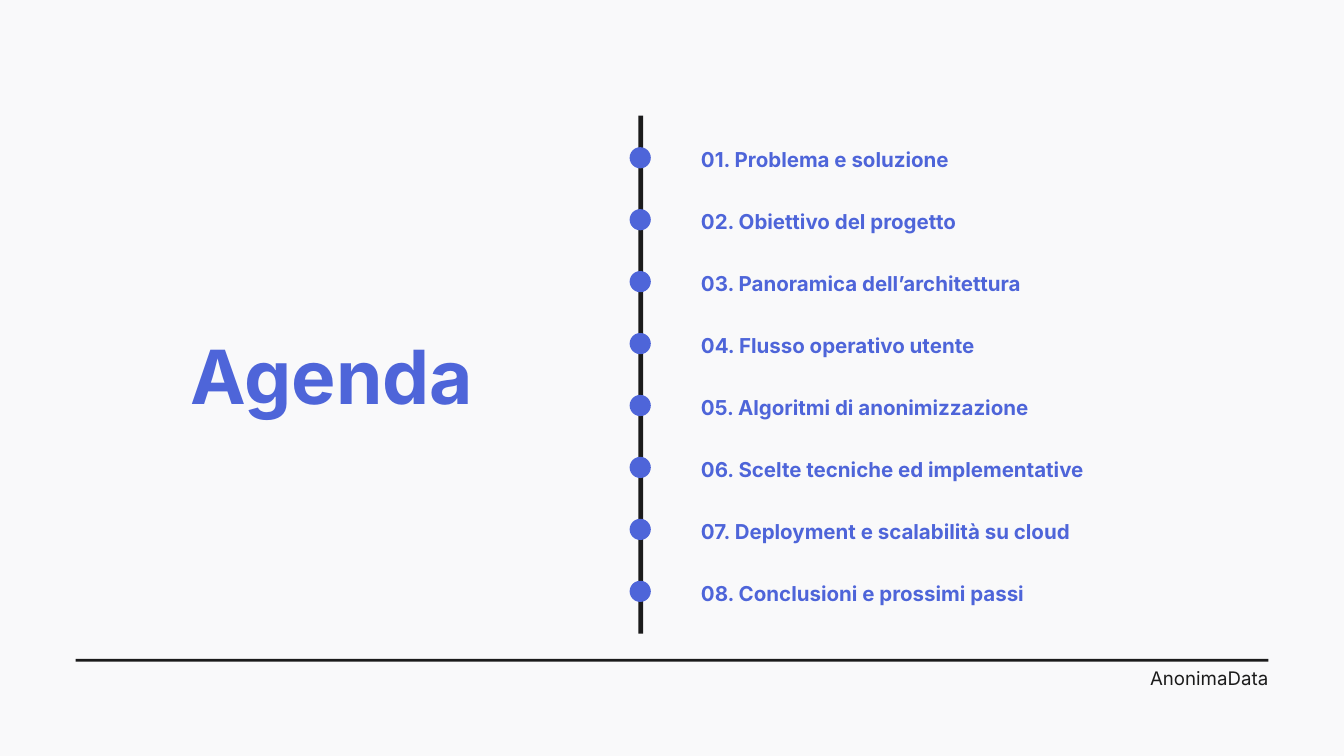
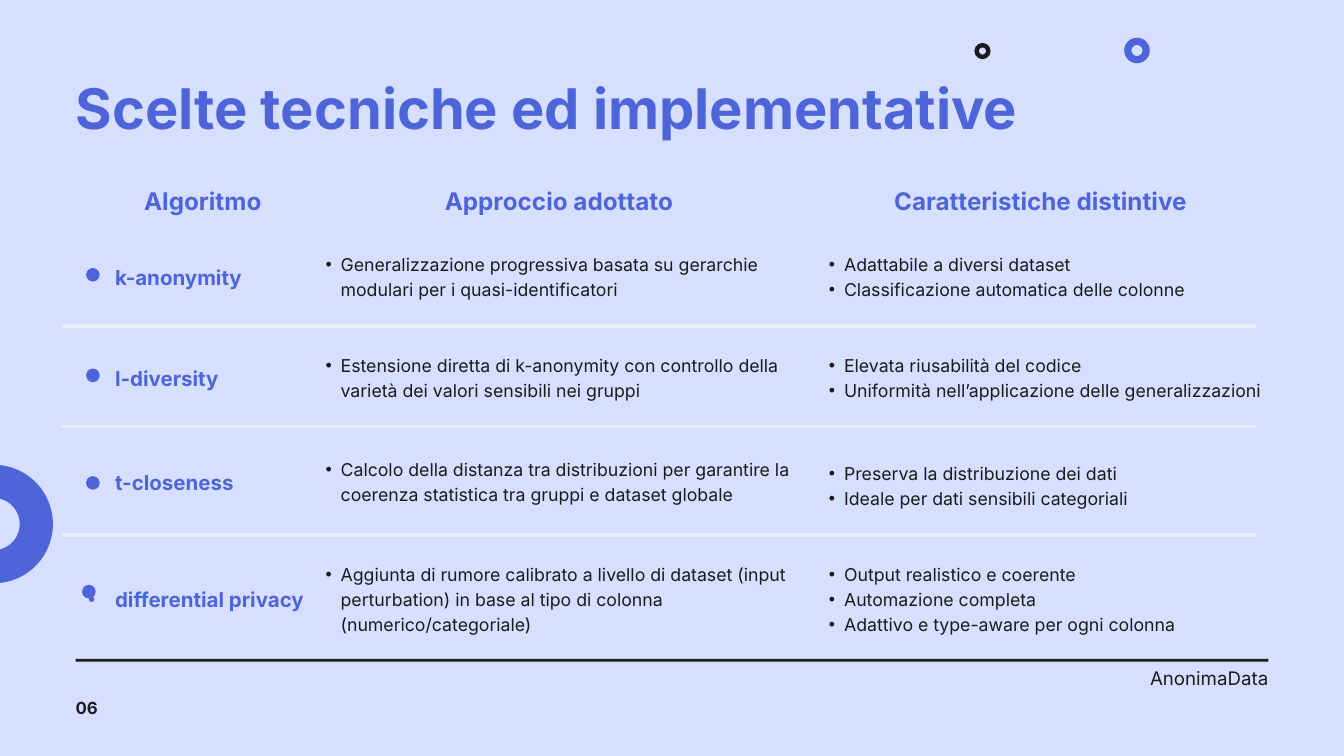
from collections import namedtuple

from lxml.etree import SubElement
from pptx import Presentation
from pptx.dml.color import RGBColor
from pptx.enum.shapes import MSO_SHAPE
from pptx.enum.text import MSO_AUTO_SIZE, PP_ALIGN
from pptx.oxml.ns import qn
from pptx.util import Pt

COLORS = {
    "ink": "1B1B1B",
    "accent": "4E65D9",
    "paper": "F9F9FA",
    "sky": "D6E0FE",
    "divider": "EAEDFB",
}
FONT = "Inter"

Area = namedtuple("Area", "left top width height")
Style = namedtuple("Style", "size spacing color bold")
Algorithm = namedtuple("Algorithm", "name dot top lines divider approach feature_shift features")

HERO = Style(80, 88, "accent", True)
TITLE = Style(60, 66, "accent", True)
HEADING = Style(26, 36.4, "accent", True)
LABEL = Style(22, 30.8, "accent", True)
BODY = Style(19, 26.6, "ink", False)
FOOTER = Style(20, 28, "ink", False)
NUMBER = Style(18, 25.2, "ink", True)

PAGE = Area(0, 0, 1440, 810)
FOOTER_AREA = Area(81, 706, 1278, 64)
LINE_HEIGHT = 25.6
LABEL_HEIGHT = 28.8

AGENDA = [
    "Problema e soluzione",
    "Obiettivo del progetto",
    "Panoramica dell’architettura",
    "Flusso operativo utente",
    "Algoritmi di anonimizzazione",
    "Scelte tecniche ed implementative",
    "Deployment e scalabilità su cloud",
    "Conclusioni e prossimi passi",
]

HEADINGS = [
    ("Algoritmo", 14.4, 272),
    ("Approccio adottato", 275, 514),
    ("Caratteristiche distintive", 818, 460),
]

ALGORITHMS = [
    Algorithm(
        "k-anonymity", (25.2, 19), 73.8, 2, 153,
        "Generalizzazione progressiva basata su gerarchie modulari per i quasi-identificatori",
        0, ["Adattabile a diversi dataset", "Classificazione automatica delle colonne"]),
    Algorithm(
        "l-diversity", (25.2, 18.8), 181.8, 2, 261,
        "Estensione diretta di k-anonymity con controllo della varietà dei valori sensibili nei gruppi",
        0, ["Elevata riusabilità del codice", "Uniformità nell’applicazione delle generalizzazioni"]),
    Algorithm(
        "t-closeness", (25.2, 21.8), 294, 2, 377.5,
        "Calcolo della distanza tra distribuzioni per garantire la coerenza statistica "
        "tra gruppi e dataset globale",
        4, ["Preserva la distribuzione dei dati", "Ideale per dati sensibili categoriali"]),
    Algorithm(
        "differential privacy", (20.9, 26), 406.3, 3, None,
        "Aggiunta di rumore calibrato a livello di dataset (input perturbation) "
        "in base al tipo di colonna (numerico/categoriale)",
        0, ["Output realistico e coerente", "Automazione completa",
            "Adattivo e type-aware per ogni colonna"]),
]


def rgb(name):
    return RGBColor.from_string(COLORS[name])


def add_page(deck, background):
    page = deck.slides.add_slide(deck.slide_layouts[6])
    page.background.fill.solid()
    page.background.fill.fore_color.rgb = rgb(background)
    return page


def add_figure(page, preset, area, color):
    figure = page.shapes.add_shape(preset, *map(Pt, area))
    figure.shadow.inherit = False
    figure.fill.solid()
    figure.fill.fore_color.rgb = rgb(color)
    figure.line.fill.background()
    return figure


def add_dot(page, left, top, size):
    add_figure(page, MSO_SHAPE.OVAL, Area(left, top, size, size), "accent")


def add_ring(page, left, top, size, color):
    ring = add_figure(page, MSO_SHAPE.DONUT, Area(left, top, size, size), color)
    ring.adjustments[0] = 0.28


def add_bullet(paragraph, margin, hanging):
    properties = paragraph._p.get_or_add_pPr()
    properties.set("marL", str(Pt(margin)))
    properties.set("indent", str(-Pt(hanging)))
    SubElement(properties, qn("a:buFont")).set("typeface", "Arial")
    SubElement(properties, qn("a:buChar")).set("char", "•")


def add_text(page, area, lines, style, align=PP_ALIGN.LEFT, bullet=None):
    box = page.shapes.add_textbox(*map(Pt, area))
    frame = box.text_frame
    frame.word_wrap = True
    frame.auto_size = MSO_AUTO_SIZE.SHAPE_TO_FIT_TEXT
    frame.margin_left = frame.margin_top = frame.margin_right = frame.margin_bottom = 0
    for index, line in enumerate(lines):
        paragraph = frame.add_paragraph() if index else frame.paragraphs[0]
        paragraph.text = line
        paragraph.alignment = align
        paragraph.line_spacing = Pt(style.spacing)
        if bullet:
            add_bullet(paragraph, *bullet)
        paragraph.font.name = FONT
        paragraph.font.size = Pt(style.size)
        paragraph.font.bold = style.bold
        paragraph.font.color.rgb = rgb(style.color)


def add_footer(page, area, number=None):
    add_figure(page, MSO_SHAPE.RECTANGLE, Area(area.left, area.top, area.width, 3), "ink")
    brand = Area(area.left + area.width - 349, area.top + 4, 349, 27.4)
    add_text(page, brand, ["AnonimaData"], FOOTER, PP_ALIGN.RIGHT)
    if number:
        add_text(page, Area(area.left, area.top + 38.5, 178, 24.5), [number], NUMBER)


def add_timeline(page, area):
    add_figure(page, MSO_SHAPE.RECTANGLE, Area(area.left + 9.4, area.top, 5, area.height), "ink")
    for index, topic in enumerate(AGENDA):
        top = area.top + 29.5 + 66.36 * index
        add_dot(page, area.left, top + 4.3, 22.7)
        label = Area(area.left + 76.4, top, area.width - 76.4, LABEL_HEIGHT)
        add_text(page, label, [f"{index + 1:02}. {topic}"], LABEL)


def add_algorithm(page, area, algorithm):
    height = LINE_HEIGHT * algorithm.lines
    top = area.top + algorithm.top
    label_top = top + (height - LABEL_HEIGHT) / 2
    dot_left, dot_top = algorithm.dot
    add_text(page, Area(area.left + 8.6, label_top, 390, LABEL_HEIGHT),
             [algorithm.name], LABEL, bullet=(47.7, 28.9))
    add_dot(page, area.left + dot_left, top + dot_top, 14.6)
    add_text(page, Area(area.left + 265.6, top, 514, height),
             [algorithm.approach], BODY, bullet=(32.4, 16.2))
    add_text(page, Area(area.left + 805, top + algorithm.feature_shift, 513, height),
             algorithm.features, BODY, bullet=(32.4, 16.2))
    if algorithm.divider:
        rule = Area(area.left, area.top + algorithm.divider, area.width, 3)
        divider = add_figure(page, MSO_SHAPE.RECTANGLE, rule, "divider")
        divider.line.color.rgb = rgb("divider")
        divider.line.width = Pt(0.75)


def add_comparison(page, area):
    for heading, left, width in HEADINGS:
        add_text(page, Area(area.left + left, area.top, width, 35.3),
                 [heading], HEADING, PP_ALIGN.CENTER)
    for algorithm in ALGORITHMS:
        add_algorithm(page, area, algorithm)


def add_rings(page, area):
    add_ring(page, area.left + 1204.5, area.top + 40.4, 27.4, "accent")
    add_ring(page, area.left + 1044, area.top + 46, 17.4, "ink")
    add_ring(page, area.left - 70.3, area.top + 498, 127, "accent")


def build_agenda(deck):
    page = add_page(deck, "paper")
    add_text(page, Area(81, 361.5, 549, 91.5), ["Agenda"], HERO, PP_ALIGN.CENTER)
    add_timeline(page, Area(674.6, 123.9, 620, 555))
    add_footer(page, FOOTER_AREA)


def build_choices(deck):
    page = add_page(deck, "sky")
    add_rings(page, PAGE)
    add_text(page, Area(81, 85, 1219, 68.4), ["Scelte tecniche ed implementative"], TITLE)
    add_comparison(page, Area(67, 194.3, 1278, 483))
    add_footer(page, FOOTER_AREA, "06")


def main():
    deck = Presentation()
    deck.slide_width, deck.slide_height = Pt(PAGE.width), Pt(PAGE.height)
    build_agenda(deck)
    build_choices(deck)
    deck.save("out.pptx")


if __name__ == "__main__":
    main()
